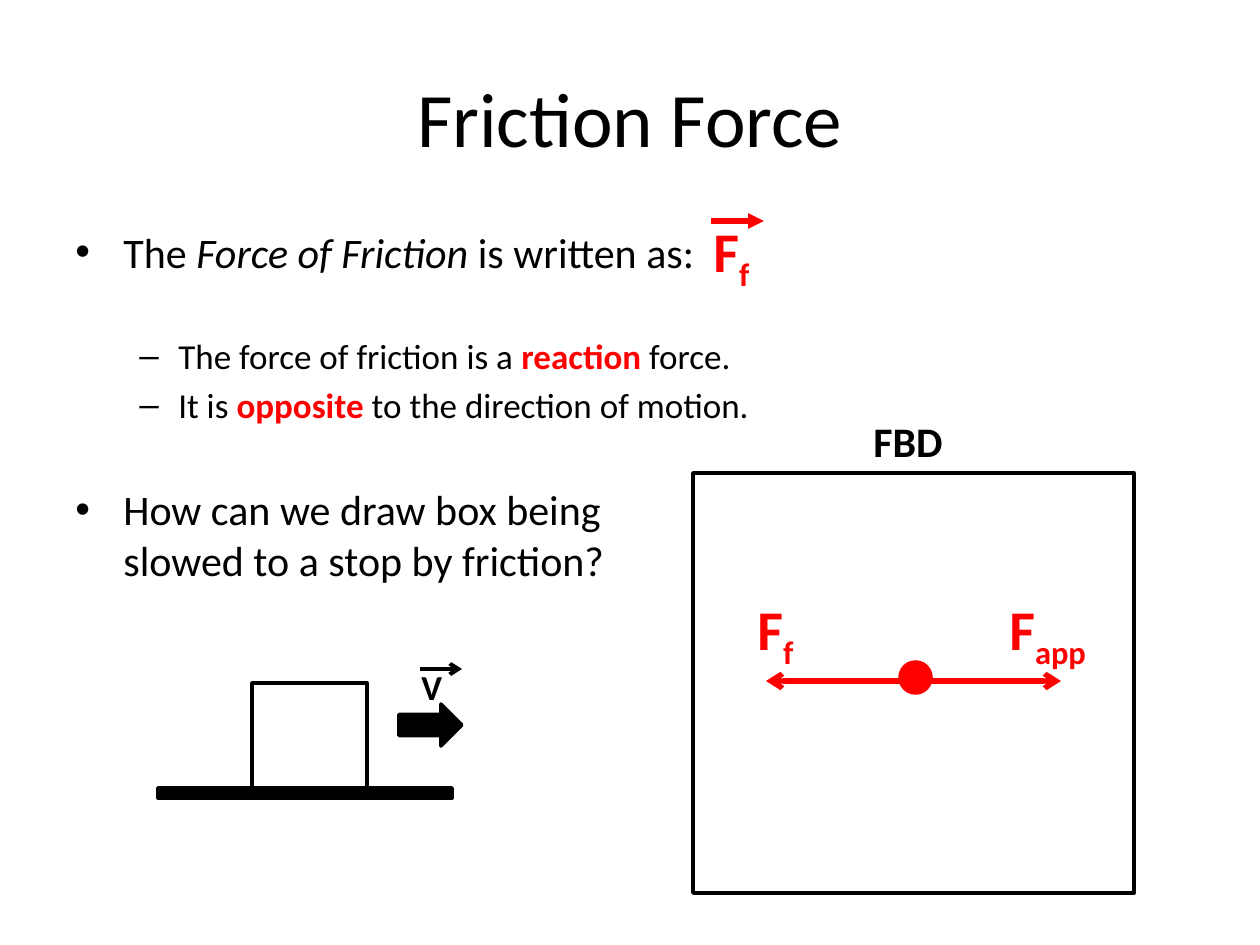
"""Build the Friction Force slide with a free body diagram."""
from lxml import etree
from pptx import Presentation
from pptx import util as u
from pptx.dml.color import RGBColor
from pptx.enum import shapes, text
from pptx.oxml.ns import qn

BLACK = RGBColor(0, 0, 0)
RED = RGBColor(255, 0, 0)
FONT = "Calibri"
PX = 914400 / 126

TITLE = ("Friction Force", (63, 38, 1134, 157))
BODY_BOX = (63, 220, 1134, 624)
PLAIN, ITALIC, KEY = "plain", "italic", "key"
BODY = [
    (0, 0, [("The ", PLAIN), ("Force of Friction ", ITALIC), ("is written as:", PLAIN)]),
    (1, 33.3, [("The force of friction is a ", PLAIN), ("reaction", KEY), (" force.", PLAIN)]),
    (1, 4, [("It is ", PLAIN), ("opposite", KEY), (" to the direction of motion.", PLAIN)]),
    (0, 33.2, [("How can we draw box being", PLAIN), ("\n", PLAIN),
               ("slowed to a stop by friction?", PLAIN)]),
]
LEVELS = [("•", 24, 48, 48), ("–", 20, 103, 39)]

RECTANGLE = shapes.MSO_SHAPE.RECTANGLE
SHAPES = [
    (RECTANGLE, (693, 473, 441, 420), None, BLACK),
    (RECTANGLE, (158, 788, 294, 10), BLACK, BLACK),
    (RECTANGLE, (252, 683, 115, 105), None, BLACK),
    (shapes.MSO_SHAPE.RIGHT_ARROW, (399, 704, 63, 42), BLACK, BLACK),
    (shapes.MSO_SHAPE.OVAL, (900, 662, 31, 31), RED, RED),
]
ARROWS = [
    ((711, 221), (764, 221), RED, 3, "triangle"),
    ((420, 669), (462, 669), BLACK, 2.25, "arrow"),
    ((903, 681), (766, 681), RED, 3, "arrow"),
    ((924, 681), (1061, 681), RED, 3, "arrow"),
]
LABELS = [
    ("F", "f", (701, 210, 63, 81), 32, RED),
    ("FBD", "", (861, 409, 96, 63), 24, BLACK),
    ("V", "", (409, 659, 47, 55), 20, BLACK),
    ("F", "f", (745, 588, 63, 81), 32, RED),
    ("F", "app", (997, 588, 110, 81), 32, RED),
]


def emu(*lengths):
    return [u.Emu(round(length * PX)) for length in lengths]


def style_font(font, size, color, bold=False, italic=False):
    font.name = FONT
    font.size = u.Pt(size)
    font.color.rgb = color
    font.bold = bold
    font.italic = italic


def add_title(slide):
    words, box = TITLE
    title = slide.shapes.title
    title.left, title.top, title.width, title.height = emu(*box)
    title.text_frame.text = words
    title.text_frame.vertical_anchor = text.MSO_ANCHOR.MIDDLE
    paragraph = title.text_frame.paragraphs[0]
    paragraph.alignment = text.PP_ALIGN.CENTER
    style_font(paragraph.runs[0].font, 44, BLACK)


def add_body(slide):
    frame = slide.shapes.add_textbox(*emu(*BODY_BOX)).text_frame
    frame.word_wrap = True
    for index, (level, space, pieces) in enumerate(BODY):
        paragraph = frame.add_paragraph() if index else frame.paragraphs[0]
        bullet, size, margin, hanging = LEVELS[level]
        properties = paragraph._p.get_or_add_pPr()
        margin, hanging = emu(margin, hanging)
        properties.set("marL", str(margin))
        properties.set("indent", str(-hanging))
        etree.SubElement(properties, qn("a:buFont"), typeface="Arial")
        etree.SubElement(properties, qn("a:buChar"), char=bullet)
        paragraph.level = level
        paragraph.space_before = u.Pt(space)
        paragraph.font.size = u.Pt(size)
        for words, style in pieces:
            if words == "\n":
                paragraph.add_line_break()
                continue
            run = paragraph.add_run()
            run.text = words
            color = RED if style == KEY else BLACK
            style_font(run.font, size, color, style == KEY, style == ITALIC)


def add_shape(slide, kind, box, fill, line):
    shape = slide.shapes.add_shape(kind, *emu(*box))
    shape.shadow.inherit = False
    if fill is None:
        shape.fill.background()
    else:
        shape.fill.solid()
        shape.fill.fore_color.rgb = fill
    shape.line.color.rgb = line
    shape.line.width = u.Pt(2)


def add_arrow(slide, start, end, color, width, head):
    arrow = slide.shapes.add_connector(
        shapes.MSO_CONNECTOR.STRAIGHT, *emu(*start, *end))
    arrow.line.color.rgb = color
    arrow.line.width = u.Pt(width)
    properties = arrow._element.spPr
    etree.SubElement(properties.get_or_add_ln(), qn("a:tailEnd"), type=head)
    etree.SubElement(properties, qn("a:effectLst"))


def add_label(slide, symbol, subscript, box, size, color):
    frame = slide.shapes.add_textbox(*emu(*box)).text_frame
    frame.word_wrap = False
    frame.auto_size = text.MSO_AUTO_SIZE.SHAPE_TO_FIT_TEXT
    paragraph = frame.paragraphs[0]
    paragraph.text = symbol
    if subscript:
        run = paragraph.add_run()
        run.text = subscript
        run._r.get_or_add_rPr().set("baseline", "-25000")
    for run in paragraph.runs:
        style_font(run.font, size, color, bold=True)


def main():
    presentation = Presentation()
    presentation.slide_width, presentation.slide_height = emu(1260, 945)
    slide = presentation.slides.add_slide(presentation.slide_layouts[5])
    add_title(slide)
    add_body(slide)
    for item in SHAPES:
        add_shape(slide, *item)
    for item in ARROWS:
        add_arrow(slide, *item)
    for item in LABELS:
        add_label(slide, *item)
    presentation.save("out.pptx")


if __name__ == "__main__":
    main()
